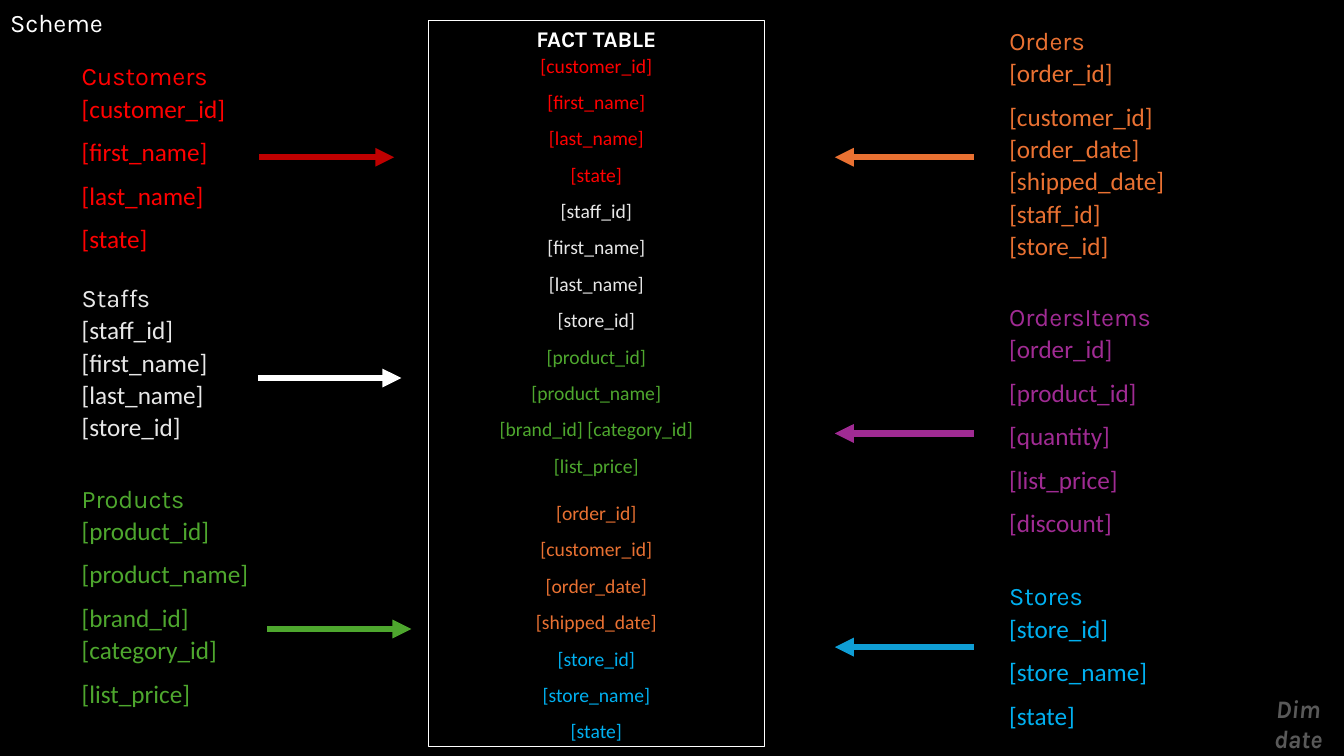
from itertools import zip_longest

from lxml.etree import SubElement
from pptx import Presentation
from pptx.dml.color import RGBColor as RGB
from pptx.enum.shapes import MSO_CONNECTOR as Link, MSO_SHAPE as Shape
from pptx.enum.text import MSO_ANCHOR as Anchor, MSO_AUTO_SIZE as Fit, PP_ALIGN as Align
from pptx.oxml.ns import qn
from pptx.util import Pt

EMU = 9144  # 100 px to the inch
HUES = {
    "black": "000000", "white": "FFFFFF", "pale": "E8E8E8", "gray": "595959",
    "red": "FF0000", "dark": "C00000", "green": "4EA72E", "orange": "E97132",
    "purple": "A02B93", "sky": "00B0F0", "blue": "0F9ED5",
}
HEAD = {"name": "Karla", "size": Pt(18), "bold": False}
FIELD = {"name": "Calibri", "size": Pt(18), "bold": False}
ROW = {**FIELD, "size": Pt(14)}
FLAT = {"space_before": Pt(0), "space_after": Pt(0), "line_spacing": 1.0}
LOOSE = {**FLAT, "space_after": Pt(8), "line_spacing": 1.07}
FRAME = {"word_wrap": True, "auto_size": Fit.NONE, "vertical_anchor": Anchor.TOP}

TABLES = [  # name, hue, box, fields
    ("Customers", "red", (71, 55, 220, 203),
     ["[customer_id]", "[first_name]", "[last_name]", "[state]"]),
    ("Staffs", "pale", (71, 275, 211, 169),
     ["[staff_id] [first_name] [last_name] [store_id]"]),
    ("Products", "green", (71, 474, 211, 234),
     ["[product_id]", "[product_name]", "[brand_id] [category_id]", "[list_price]"]),
    ("Orders", "orange", (991, 20, 211, 245),
     ["[order_id]",
      "[customer_id] [order_date] [shipped_date] [staff_id] [store_id]"]),
    ("OrdersItems", "purple", (991, 294, 211, 246),
     ["[order_id]", "[product_id]", "[quantity]", "[list_price]", "[discount]"]),
    ("Stores", "sky", (991, 571, 211, 159),
     ["[store_id]", "[store_name]", "[state]"]),
]
FACTS = [
    ("red", ["[customer_id]", "[first_name]", "[last_name]", "[state]"]),
    ("pale", ["[staff_id]", "[first_name]", "[last_name]", "[store_id]"]),
    ("green", ["[product_id]", "[product_name]", "[brand_id] [category_id]",
               "[list_price]"]),
    ("orange", ["[order_id]", "[customer_id]", "[order_date]", "[shipped_date]"]),
    ("sky", ["[store_id]", "[store_name]", "[state]"]),
]
ARROWS = [  # hue, start x, end x, y
    ("dark", 257, 391, 156), ("white", 256, 398, 375), ("green", 265, 408, 624),
    ("orange", 966, 828, 156), ("purple", 966, 828, 430), ("blue", 966, 828, 642),
]


def px(*nums):
    return [num * EMU for num in nums]


def rgb(hue):
    return RGB.from_string(HUES[hue])


def style(item, vals):
    for key, val in vals.items():
        setattr(item, key, val)


def place(shape, box):
    style(shape, dict(zip(("left", "top", "width", "height"), px(*box))))
    style(shape.text_frame, FRAME)
    return shape.text_frame


def write(frame, text, hue, font, para=FLAT, align=Align.LEFT):
    """Fill the empty first paragraph, or add one, without a bullet."""
    line = frame.paragraphs[0]
    if line.runs:
        line = frame.add_paragraph()
    style(line, {**para, "alignment": align})
    props = line._p.get_or_add_pPr()
    props.set("marL", "0")
    props.set("indent", "0")
    SubElement(props, qn("a:buNone"))
    run = line.add_run()
    run.text = text
    style(run.font, font)
    run.font.color.rgb = rgb(hue)
    return line


def add_list(slide, holder, name, hue, box, fields):
    frame = place(holder or slide.shapes.add_textbox(*px(*box)), box)
    write(frame, name, hue, HEAD)
    for field in fields:
        write(frame, field, hue, FIELD, LOOSE)


def add_fact(slide):
    box = (425, 20, 333, 721)
    rect = slide.shapes.add_shape(Shape.RECTANGLE, *px(*box))
    rect.shadow.inherit = False
    rect.fill.background()
    rect.line.color.rgb = rgb("white")
    rect.line.width = Pt(0.75)
    frame = place(rect, box)
    bold = {**HEAD, "size": Pt(16), "bold": True}
    write(frame, "FACT TABLE", "white", bold, align=Align.CENTER)
    for hue, rows in FACTS:
        for row in rows:
            line = write(frame, row, hue, ROW, LOOSE, Align.CENTER)
            if row == "[order_id]":
                line.space_before = Pt(8)


def add_arrow(slide, hue, start, end, y):
    arrow = slide.shapes.add_connector(Link.STRAIGHT, *px(start, y, end, y))
    arrow.line.color.rgb = rgb(hue)
    arrow.line.width = Pt(4.5)
    SubElement(arrow.line._get_or_add_ln(), qn("a:tailEnd"), type="triangle")
    SubElement(arrow._element.spPr, qn("a:effectLst"))


def main():
    deck = Presentation()
    deck.slide_width, deck.slide_height = px(1333, 750)
    slide = deck.slides.add_slide(deck.slide_layouts.get_by_name("Comparison"))
    slide.background.fill.solid()
    slide.background.fill.fore_color.rgb = rgb("black")
    title, *bodies = slide.placeholders
    write(place(title, (0, 2, 1263, 40)), "Scheme", "white", HEAD)
    add_fact(slide)
    for holder, table in zip_longest(bodies, TABLES):
        add_list(slide, holder, *table)
    for arrow in ARROWS:
        add_arrow(slide, *arrow)
    box = (1241, 683, 93, 71)
    note = place(slide.shapes.add_textbox(*px(*box)), box)
    slant = {**HEAD, "bold": True, "italic": True}
    write(note, "Dim date", "gray", slant, align=Align.CENTER)
    deck.save("out.pptx")


if __name__ == "__main__":
    main()
